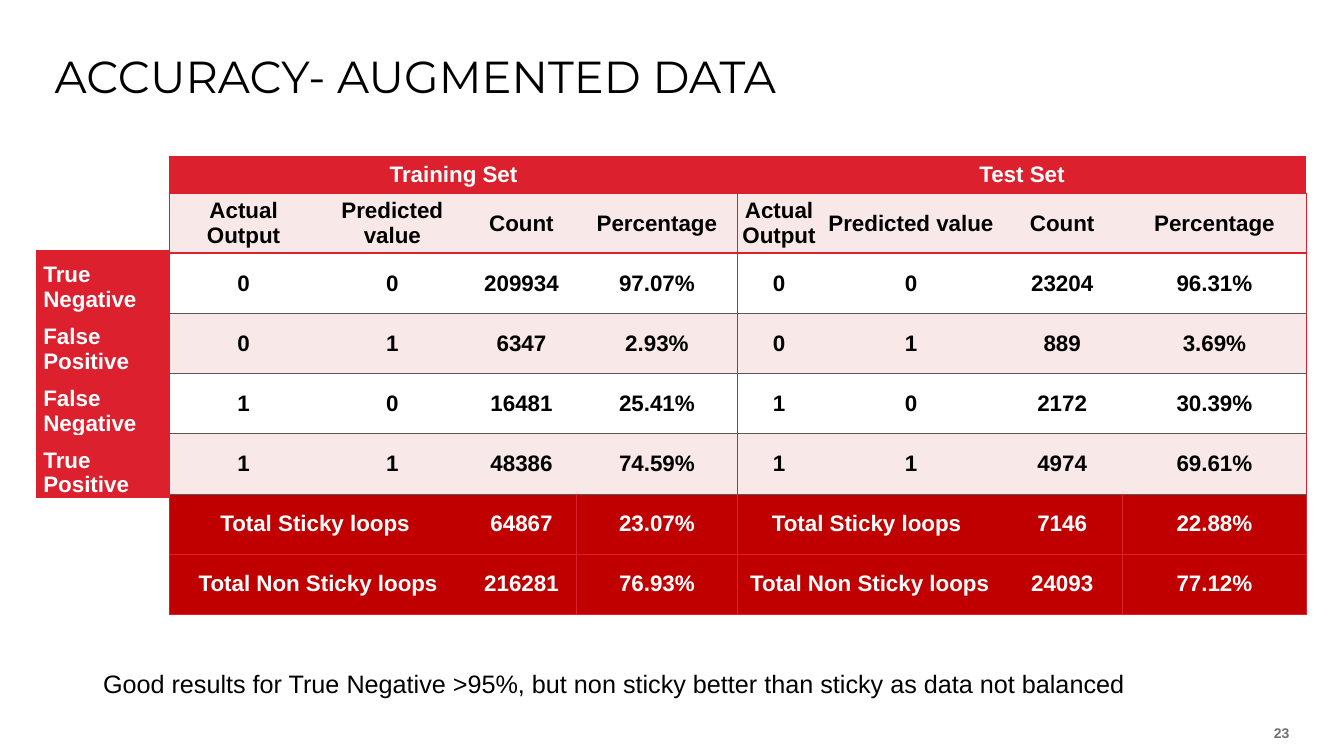
from dataclasses import dataclass

from lxml import etree
from pptx import Presentation
from pptx.dml.color import RGBColor
from pptx.enum.text import MSO_ANCHOR, PP_ALIGN
from pptx.oxml.ns import qn
from pptx.slide import Slide
from pptx.table import Table, _Cell
from pptx.text.text import TextFrame
from pptx.util import Pt

TOP, MIDDLE, BOTTOM = MSO_ANCHOR.TOP, MSO_ANCHOR.MIDDLE, MSO_ANCHOR.BOTTOM
LEFT, CENTER, RIGHT = PP_ALIGN.LEFT, PP_ALIGN.CENTER, PP_ALIGN.RIGHT

RED = RGBColor(0xDC, 0x20, 0x2E)
DARK_RED = RGBColor(0xC0, 0x00, 0x00)
PINK = RGBColor(0xF9, 0xE8, 0xE8)
WHITE = RGBColor(0xFF, 0xFF, 0xFF)
BLACK = RGBColor(0x00, 0x00, 0x00)
GREY = RGBColor(0x70, 0x70, 0x70)
RULE_GREY = RGBColor(0x59, 0x59, 0x59)

PLAIN_STYLE = "{2D5ABB26-0587-4C30-8999-92F81FD0307C}"
HEADINGS = ("Actual Output", "Predicted value", "Count", "Percentage")
OUTCOMES = ("True Negative", "False Positive", "False Negative", "True Positive")
ACTUAL_PREDICTED = (("0", "0"), ("0", "1"), ("1", "0"), ("1", "1"))
TOTALS = ("Total Sticky loops ", "Total Non Sticky loops")
TITLE_ROW_HEIGHT = 26
ROW_HEIGHT = 43
GRID_TOP = 112
FIRST_TOTAL_ROW = 6


@dataclass(frozen=True)
class ResultSet:
    title: str
    left: float
    widths: tuple[float, ...]
    results: tuple[tuple[str, str], ...]
    totals: tuple[tuple[str, str], ...]


RESULT_SETS = (
    ResultSet(
        "Training Set", 121, (106, 106.5, 78, 115.5),
        (("209934", "97.07%"), ("6347", "2.93%"), ("16481", "25.41%"), ("48386", "74.59%")),
        (("64867", "23.07%"), ("216281", "76.93%")),
    ),
    ResultSet(
        "Test Set", 527, (59, 129.5, 86.5, 131),
        (("23204", "96.31%"), ("889", "3.69%"), ("2172", "30.39%"), ("4974", "69.61%")),
        (("7146", "22.88%"), ("24093", "77.12%")),
    ),
)


def write(frame: TextFrame, text: str, size: float, color: RGBColor,
          align: PP_ALIGN = LEFT, bold: bool = False, font: str = "Arial") -> None:
    frame.text = text
    paragraph = frame.paragraphs[0]
    paragraph.alignment = align
    paragraph.font.name = font
    paragraph.font.size = Pt(size)
    paragraph.font.bold = bold
    paragraph.font.color.rgb = color


def clear_insets(frame: TextFrame) -> None:
    frame.margin_left = frame.margin_right = frame.margin_top = frame.margin_bottom = 0


def add_border(cell: _Cell, side: str, color: RGBColor, width: float) -> None:
    properties = cell._tc.get_or_add_tcPr()
    line = etree.SubElement(properties, qn(f"a:ln{side}"), w=str(Pt(width)))
    fill = etree.SubElement(line, qn("a:solidFill"))
    etree.SubElement(fill, qn("a:srgbClr"), val=str(color))


def fill_cell(cell: _Cell, text: str, background: RGBColor, color: RGBColor,
              align: PP_ALIGN, anchor: MSO_ANCHOR, inset: float) -> None:
    cell.fill.solid()
    cell.fill.fore_color.rgb = background
    cell.margin_left = cell.margin_right = Pt(inset)
    cell.margin_top = cell.margin_bottom = 0
    cell.vertical_anchor = anchor
    if text:
        write(cell.text_frame, text, 16, color, align, bold=True)


def add_grid(slide: Slide, left: float, top: float, widths: tuple[float, ...],
             heights: tuple[float, ...]) -> Table:
    frame = slide.shapes.add_table(len(heights), len(widths), Pt(left), Pt(top),
                                   Pt(sum(widths)), Pt(sum(heights)))
    table = frame.table
    table.first_row = table.horz_banding = False
    frame.element.find(".//" + qn("a:tableStyleId")).text = PLAIN_STYLE
    for column, width in zip(table.columns, widths):
        column.width = Pt(width)
    for row, height in zip(table.rows, heights):
        row.height = Pt(height)
    return table


def horizontal_rule(boundary: int) -> tuple[RGBColor, float]:
    if 3 <= boundary <= FIRST_TOTAL_ROW:
        return RULE_GREY, 0.75
    return RED, 1.5 if boundary == 2 else 1


def add_result_set(slide: Slide, result_set: ResultSet) -> None:
    rows = [(result_set.title, "", "", ""), HEADINGS]
    rows += [pair + result for pair, result in zip(ACTUAL_PREDICTED, result_set.results)]
    rows += [(label, "") + total for label, total in zip(TOTALS, result_set.totals)]
    heights = (TITLE_ROW_HEIGHT,) + (ROW_HEIGHT,) * (len(rows) - 1)
    table = add_grid(slide, result_set.left, GRID_TOP, result_set.widths, heights)
    last = len(HEADINGS) - 1
    for r, row in enumerate(rows):
        is_total = r >= FIRST_TOTAL_ROW
        if r == 0:
            background, color = RED, WHITE
        elif is_total:
            background, color = DARK_RED, WHITE
        else:
            background, color = (PINK if r % 2 else WHITE), BLACK
        for c, text in enumerate(row):
            cell = table.cell(r, c)
            if c == 0:
                add_border(cell, "L", RED if r == 0 or is_total else RULE_GREY, 0.75)
            elif c == last and is_total:
                add_border(cell, "L", RED, 0.75)
            if c == last:
                add_border(cell, "R", RED, 1)
            add_border(cell, "T", *horizontal_rule(r))
            add_border(cell, "B", *horizontal_rule(r + 1))
            fill_cell(cell, text, background, color, CENTER, MIDDLE, 5 if is_total else 3)
    table.cell(0, 0).merge(table.cell(0, last))
    for r in range(FIRST_TOTAL_ROW, len(rows)):
        table.cell(r, 0).merge(table.cell(r, 1))


def add_outcomes(slide: Slide) -> None:
    table = add_grid(slide, 26, 178.5, (95,), (44.25,) * len(OUTCOMES))
    for r, outcome in enumerate(OUTCOMES):
        cell = table.cell(r, 0)
        for side in "LRTB":
            add_border(cell, side, RED, 0.5)
        fill_cell(cell, outcome, RED, WHITE, LEFT, BOTTOM, 5)


def add_title(slide: Slide) -> None:
    title = slide.shapes.title
    title.left, title.top, title.width, title.height = Pt(39), Pt(39), Pt(882), Pt(33)
    clear_insets(title.text_frame)
    title.text_frame.vertical_anchor = TOP
    write(title.text_frame, "ACCURACY- AUGMENTED DATA", 32, BLACK, font="Montserrat")
    title.text_frame.paragraphs[0].line_spacing = 0.9


def add_text(slide: Slide, left: float, top: float, width: float, height: float) -> TextFrame:
    frame = slide.shapes.add_textbox(Pt(left), Pt(top), Pt(width), Pt(height)).text_frame
    frame.word_wrap = True
    return frame


def main() -> None:
    presentation = Presentation()
    presentation.slide_width, presentation.slide_height = Pt(960), Pt(540)
    slide = presentation.slides.add_slide(presentation.slide_layouts[5])
    add_title(slide)
    for result_set in RESULT_SETS:
        add_result_set(slide, result_set)
    add_outcomes(slide)
    conclusion = add_text(slide, 66.5, 474, 854.5, 29)
    write(conclusion, "Good results for True Negative >95%, but non sticky better than sticky "
          "as data not balanced", 18, BLACK)
    page_number = add_text(slide, 882, 510.5, 39, 19)
    clear_insets(page_number)
    page_number.vertical_anchor = BOTTOM
    write(page_number, "23", 10, GREY, RIGHT, bold=True)
    presentation.save("out.pptx")


if __name__ == "__main__":
    main()
